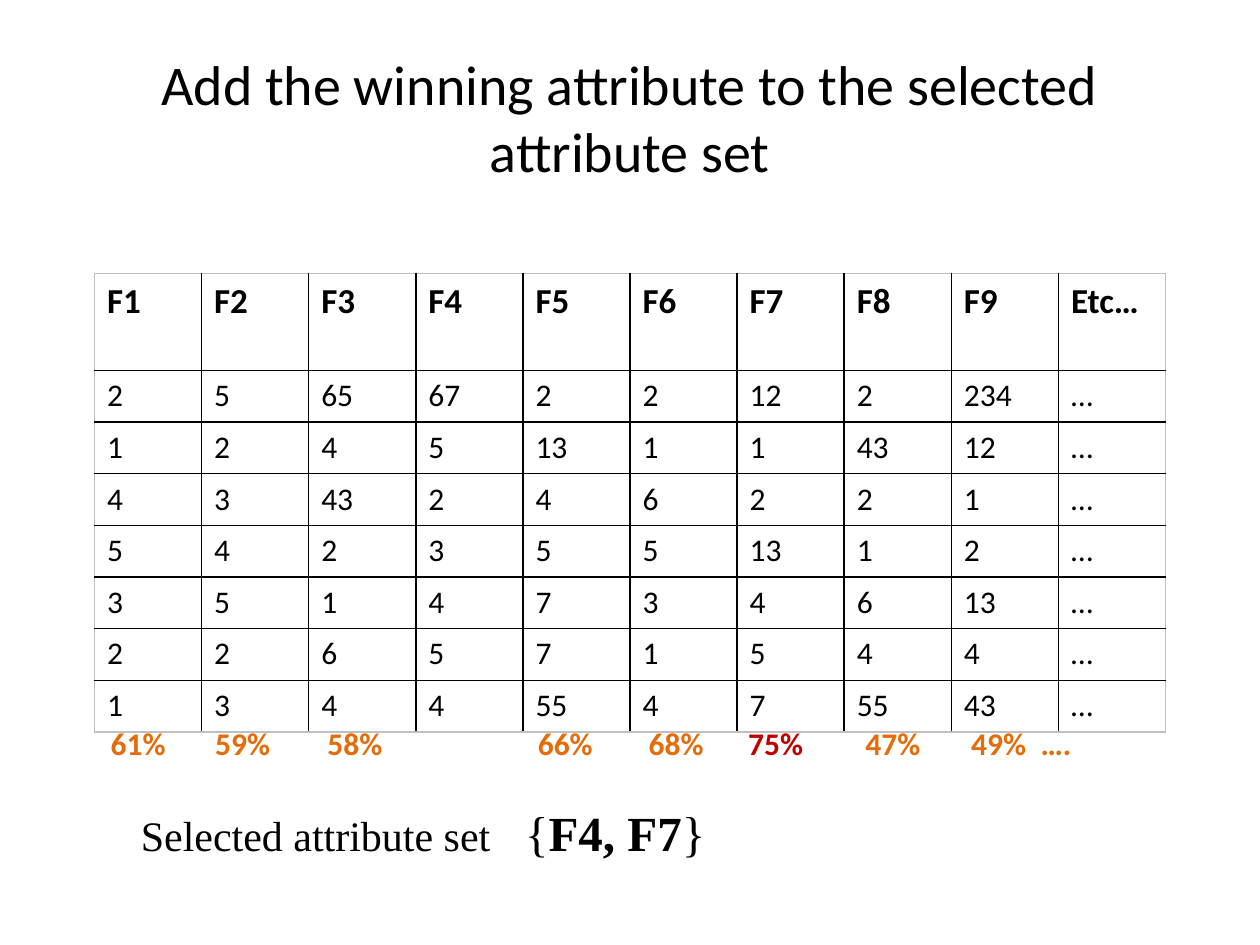
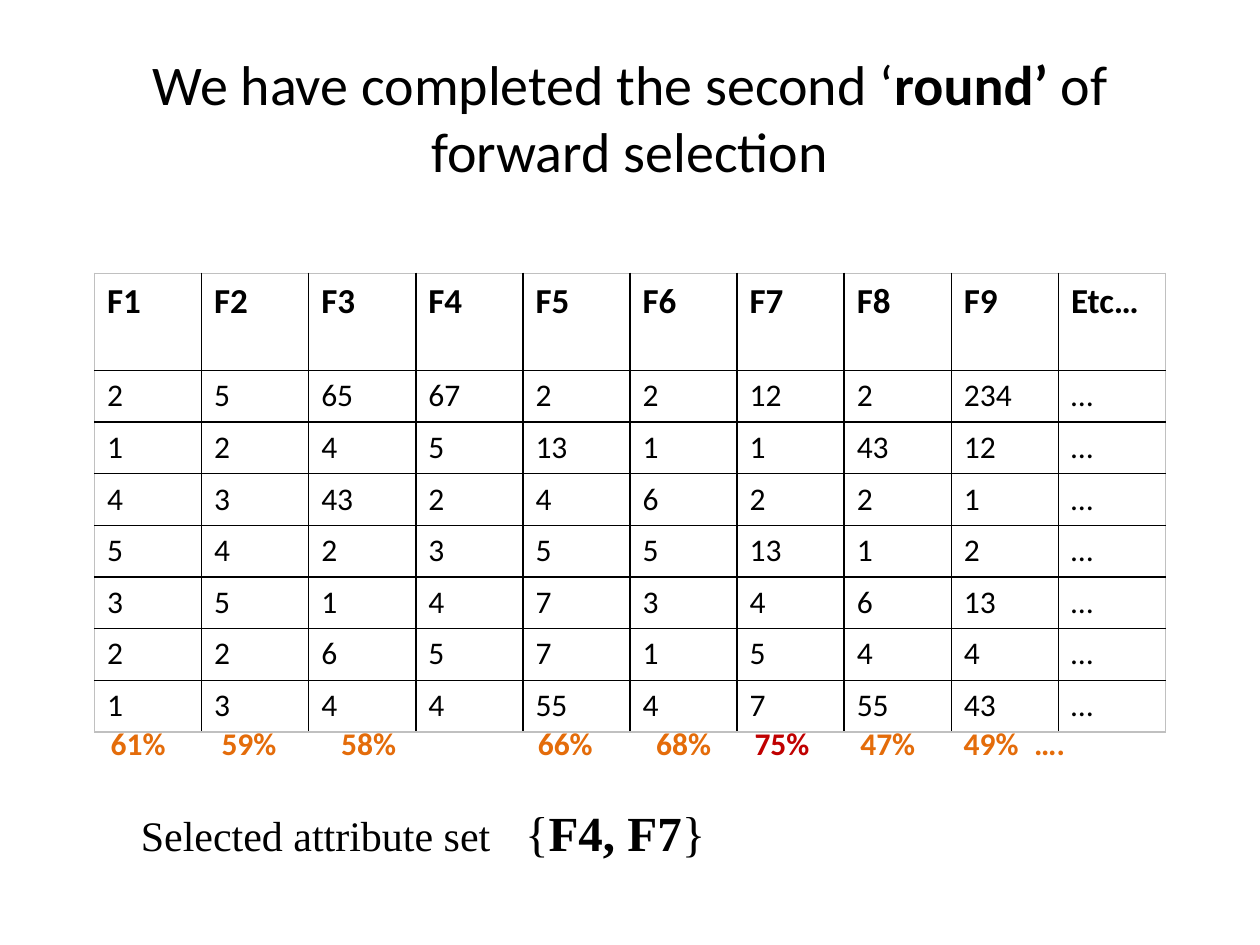
import dataclasses

import lxml.etree
import pptx
import pptx.dml.color
import pptx.enum.text
import pptx.oxml.ns
import pptx.util

Inches = pptx.util.Inches


@dataclasses.dataclass(frozen=True)
class Theme:
    """Colours, fonts and type sizes shared by the slides."""
    ink: str = "000000"
    frame: str = "C0C0C0"
    score: str = "E46C0A"
    winner: str = "C00000"
    sans: str = "Calibri"
    serif: str = "Times New Roman"
    title: int = 32
    header: int = 20
    body: int = 18
    caption: int = 24
    chosen: int = 28


THEME = Theme()
FEATURES = ["F1", "F2", "F3", "F4", "F5", "F6", "F7", "F8", "F9", "Etc…"]
SAMPLES = [
    [2, 5, 65, 67, 2, 2, 12, 2, 234, "…"],
    [1, 2, 4, 5, 13, 1, 1, 43, 12, "…"],
    [4, 3, 43, 2, 4, 6, 2, 2, 1, "…"],
    [5, 4, 2, 3, 5, 5, 13, 1, 2, "…"],
    [3, 5, 1, 4, 7, 3, 4, 6, 13, "…"],
    [2, 2, 6, 5, 7, 1, 5, 4, 4, "…"],
    [1, 3, 4, 4, 55, 4, 7, 55, 43, "…"],
]
SCORES = ["61%", "59%", "58%", "66%", "68%", "75%", "47%", "49%", "…."]
BEST_SCORE = "75%"
ROUNDS = [
    ([("Add the winning attribute to the selected attribute set", False)],
     [0.83, 1.72, 3.39, 4.27, 5.06, 5.99, 6.83, 7.38]),
    ([("We have completed the second ‘", False), ("round’", True),
      (" of forward selection", False)],
     [0.88, 1.83, 3.39, 4.33, 5.11, 5.95, 6.77, 7.33]),
]


def add_run(paragraph, text, size, name=THEME.sans, color=THEME.ink, bold=False):
    """Append one formatted run to a paragraph."""
    run = paragraph.add_run()
    run.text = text
    values = {"size": pptx.util.Pt(size), "name": name, "bold": bold}
    for attribute, value in values.items():
        setattr(run.font, attribute, value)
    run.font.color.rgb = pptx.dml.color.RGBColor.from_string(color)


def add_line_of_text(slide, left, top, width, height, stops=(), **frame_values):
    """Add a wrapping text box with tab stops and return its paragraph."""
    box = slide.shapes.add_textbox(*map(Inches, (left, top, width, height)))
    for attribute, value in {"word_wrap": True, **frame_values}.items():
        setattr(box.text_frame, attribute, value)
    paragraph = box.text_frame.paragraphs[0]
    if stops:
        qn = pptx.oxml.ns.qn
        properties = paragraph._p.get_or_add_pPr()
        tabs = lxml.etree.SubElement(properties, qn("a:tabLst"))
        for stop in stops:
            lxml.etree.SubElement(tabs, qn("a:tab"), pos=str(Inches(stop)), algn="l")
    return paragraph


def add_title(slide, phrases):
    """Add the centred slide title."""
    title = add_line_of_text(slide, 0.5, 0.3, 9, 1.25,
                             vertical_anchor=pptx.enum.text.MSO_ANCHOR.MIDDLE)
    title.alignment = pptx.enum.text.PP_ALIGN.CENTER
    for text, bold in phrases:
        add_run(title, text, THEME.title, bold=bold)


def set_borders(cell, edge_colors):
    """Draw one-point borders on the given edges of a cell."""
    qn = pptx.oxml.ns.qn
    properties = cell._tc.get_or_add_tcPr()
    for edge, color in edge_colors.items():
        border = lxml.etree.SubElement(properties, qn(f"a:ln{edge}"),
                                       w=str(pptx.util.Pt(1)))
        fill = lxml.etree.SubElement(border, qn("a:solidFill"))
        lxml.etree.SubElement(fill, qn("a:srgbClr"), val=color)


def add_sample_table(slide):
    """Add the table of feature values."""
    rows = [FEATURES, *SAMPLES]
    last_row, last_column = len(rows) - 1, len(FEATURES) - 1
    table = slide.shapes.add_table(len(rows), len(FEATURES), Inches(0.75),
                                   Inches(2.17), Inches(8.5), Inches(3.61)).table
    table.first_row = table.horz_banding = False
    for column in table.columns:
        column.width = Inches(0.85)
    for r, values in enumerate(rows):
        is_header = r == 0
        table.rows[r].height = Inches(0.77 if is_header else 0.41)
        for c, value in enumerate(values):
            cell = table.cell(r, c)
            add_run(cell.text_frame.paragraphs[0], str(value),
                    THEME.header if is_header else THEME.body, bold=is_header)
            outer = {"L": c == 0, "R": c == last_column,
                     "T": r == 0, "B": r == last_row}
            set_borders(cell, {edge: THEME.frame if on_frame else THEME.ink
                               for edge, on_frame in outer.items()})
            cell.fill.background()


def add_selected_set(slide):
    """Add the caption that names the chosen attributes."""
    caption = add_line_of_text(slide, 1.02, 6.32, 4.7, 0.57, stops=[3.05])
    add_run(caption, "Selected attribute set\t", THEME.caption, THEME.serif)
    for text, bold in [("{", False), ("F4, F7", True), ("}", False)]:
        add_run(caption, text, THEME.chosen, THEME.serif, bold=bold)


def add_scores(slide, stops):
    """Add the accuracy scores under the table, the best one in red."""
    line = add_line_of_text(slide, 0.78, 5.7, 8.88, 0.4, stops)
    for index, score in enumerate(SCORES):
        color = THEME.winner if score == BEST_SCORE else THEME.score
        add_run(line, f"\t{score}" if index else score, THEME.body,
                color=color, bold=True)


def main():
    """Build the two slides and save them."""
    deck = pptx.Presentation()
    deck.slide_width, deck.slide_height = Inches(10), Inches(7.5)
    for title, score_stops in ROUNDS:
        slide = deck.slides.add_slide(deck.slide_layouts[6])
        add_title(slide, title)
        add_sample_table(slide)
        add_selected_set(slide)
        add_scores(slide, score_stops)
    deck.save("out.pptx")


if __name__ == "__main__":
    main()
